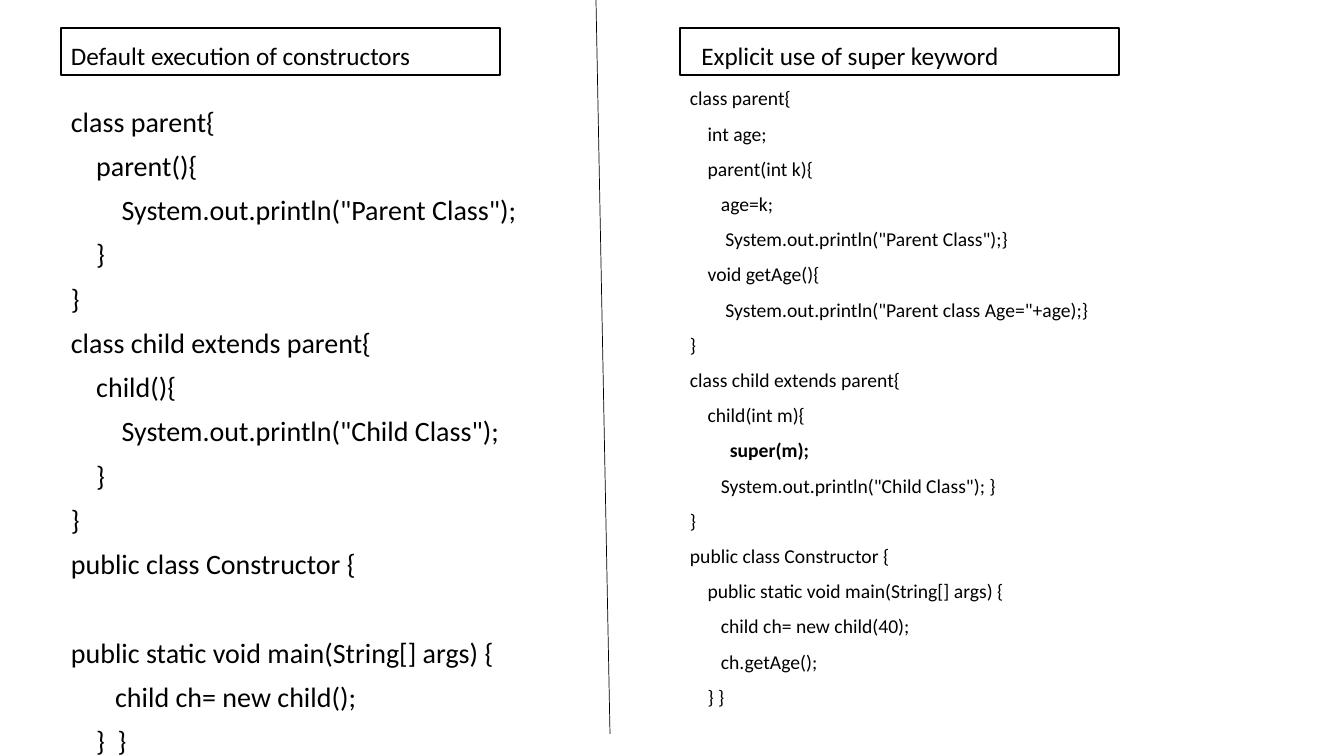
from pptx import Presentation
from pptx.dml.color import RGBColor
from pptx.enum.shapes import MSO_CONNECTOR, MSO_SHAPE
from pptx.enum.text import MSO_ANCHOR, PP_ALIGN
from pptx.oxml.ns import qn
from pptx.util import Pt

LINE = MSO_CONNECTOR.STRAIGHT
RECTANGLE = MSO_SHAPE.RECTANGLE
TOP, LEFT = MSO_ANCHOR.TOP, PP_ALIGN.LEFT

BLACK = RGBColor(0, 0, 0)
FONT = "Calibri"
EMU_PER_PX = 914400 / 100.8
SPACE_WIDTH = 0.226  # width of one space, in ems
LINE_GAP = 10
BLANK_LINE_GAP = 41.6  # gap that leaves one 20 pt line empty

# Code lines: leading columns, text
DEFAULT_CODE = [
    (0, "class parent{"),
    (4, "parent(){"),
    (8, 'System.out.println("Parent Class");'),
    (4, "}"),
    (0, "}"),
    (0, "class child extends parent{"),
    (4, "child(){"),
    (8, 'System.out.println("Child Class");'),
    (4, "}"),
    (0, "}"),
    (0, "public class Constructor {"),
    (0, "public static void main(String[] args) {"),
    (7, "child ch= new child();"),
    (4, "}  }"),
]
SUPER_CODE = [
    (0, "class parent{"),
    (4, "int age;"),
    (4, "parent(int k){"),
    (7, "age=k;"),
    (8, 'System.out.println("Parent Class");}'),
    (4, "void getAge(){"),
    (8, 'System.out.println("Parent class Age="+age);}'),
    (0, "}"),
    (0, "class child extends parent{"),
    (4, "child(int m){"),
    (9, "super(m);"),
    (7, 'System.out.println("Child Class"); }'),
    (0, "}"),
    (0, "public class Constructor {"),
    (4, "public static void main(String[] args) {"),
    (7, "child ch= new child(40);"),
    (7, "ch.getAge();"),
    (4, "} }"),
]
MAIN_AFTER_BLANK = DEFAULT_CODE[11]
BOLD_LINE = "super(m);"


def px(*lengths):
    return [round(length * EMU_PER_PX) for length in lengths]


def add_text_frame(slide, box):
    frame = slide.shapes.add_textbox(*px(*box)).text_frame
    frame.word_wrap = True
    frame.vertical_anchor = TOP
    return frame


def write_line(paragraph, columns, text, size):
    paragraph.text = text
    paragraph.alignment = LEFT
    paragraph.font.name = FONT
    paragraph.font.size = Pt(size)
    paragraph.font.color.rgb = BLACK
    if columns:
        indent = Pt(columns * SPACE_WIDTH * size)
        properties = paragraph._p.get_or_add_pPr()
        properties.set("marL", str(int(indent)))
        properties.set("indent", "0")


def add_heading(slide, box, columns, text):
    left, top, width, height = box
    border = slide.shapes.add_shape(RECTANGLE, *px(*box))
    border.shadow.inherit = False
    border.fill.background()
    border.line.color.rgb = BLACK
    border.line.width = Pt(1)
    frame = add_text_frame(slide, (left, top + 7, width - 3, height - 7))
    write_line(frame.paragraphs[0], columns, text, 18)


def add_code(slide, box, lines, size):
    frame = add_text_frame(slide, box)
    for number, line in enumerate(lines):
        paragraph = frame.add_paragraph() if number else frame.paragraphs[0]
        write_line(paragraph, *line, size)
        paragraph.line_spacing = 0.9
        paragraph.space_before = Pt(
            BLANK_LINE_GAP if line is MAIN_AFTER_BLANK else LINE_GAP)
        if line[1] == BOLD_LINE:
            paragraph.font.bold = True


def add_column(slide, box, heading, heading_columns, code, code_top, size):
    left, top, width, height = box
    add_code(slide, (left, top + code_top, width, height - code_top), code, size)
    add_heading(slide, (left, top, 439, 47), heading_columns, heading)


def add_divider(slide, start, end):
    divider = slide.shapes.add_connector(LINE, *px(*start, *end))
    divider.line.color.rgb = BLACK
    divider.line.width = Pt(0.5)
    properties = divider._element.spPr
    properties.append(properties.makeelement(qn("a:effectLst"), {}))


def main():
    presentation = Presentation()
    presentation.slide_width, presentation.slide_height = px(1344, 756)
    slide = presentation.slides.add_slide(presentation.slide_layouts[6])

    # Left: implicit constructor chain
    add_column(slide, (61, 28, 569, 727), "Default execution of constructors", 0,
               DEFAULT_CODE, 75, 20)
    add_divider(slide, (596, 0), (610, 734))
    # Right: explicit super call
    add_column(slide, (680, 28, 572, 706), "Explicit use of super keyword", 2,
               SUPER_CODE, 56, 14)

    presentation.save("out.pptx")


if __name__ == "__main__":
    main()
